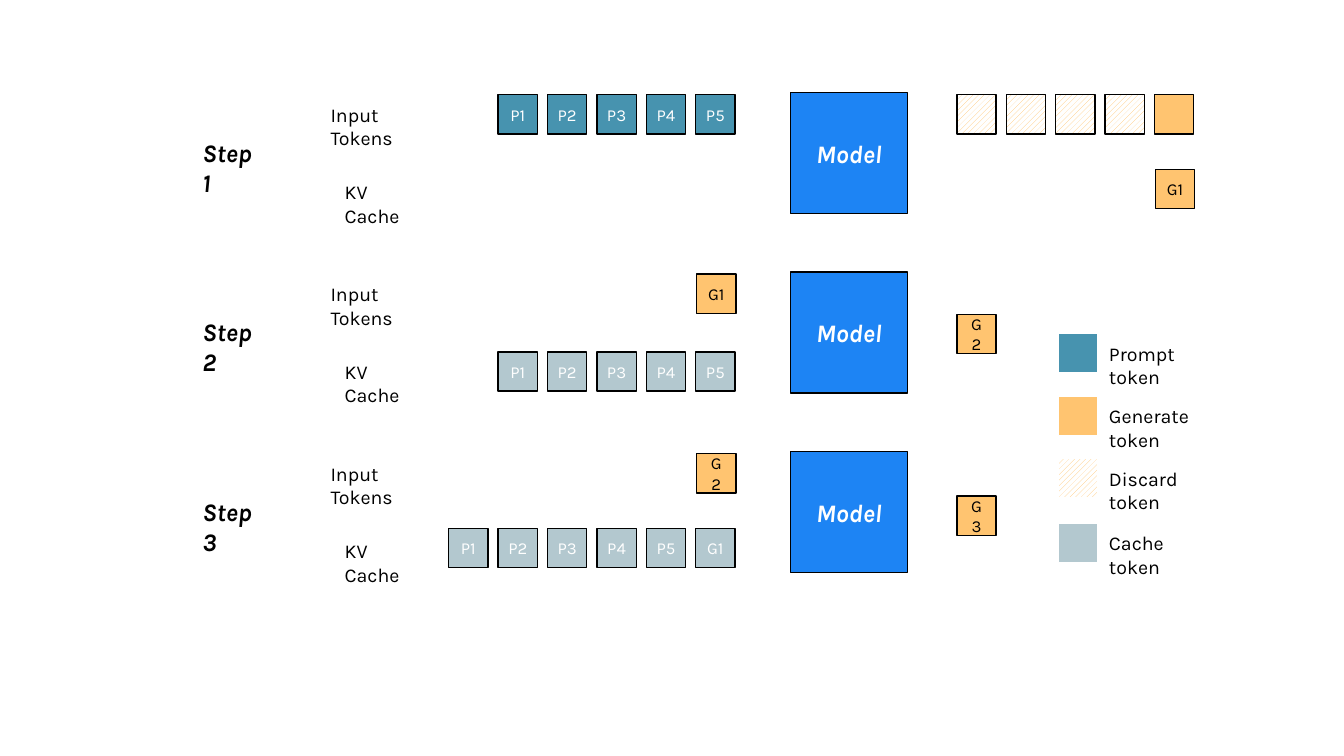
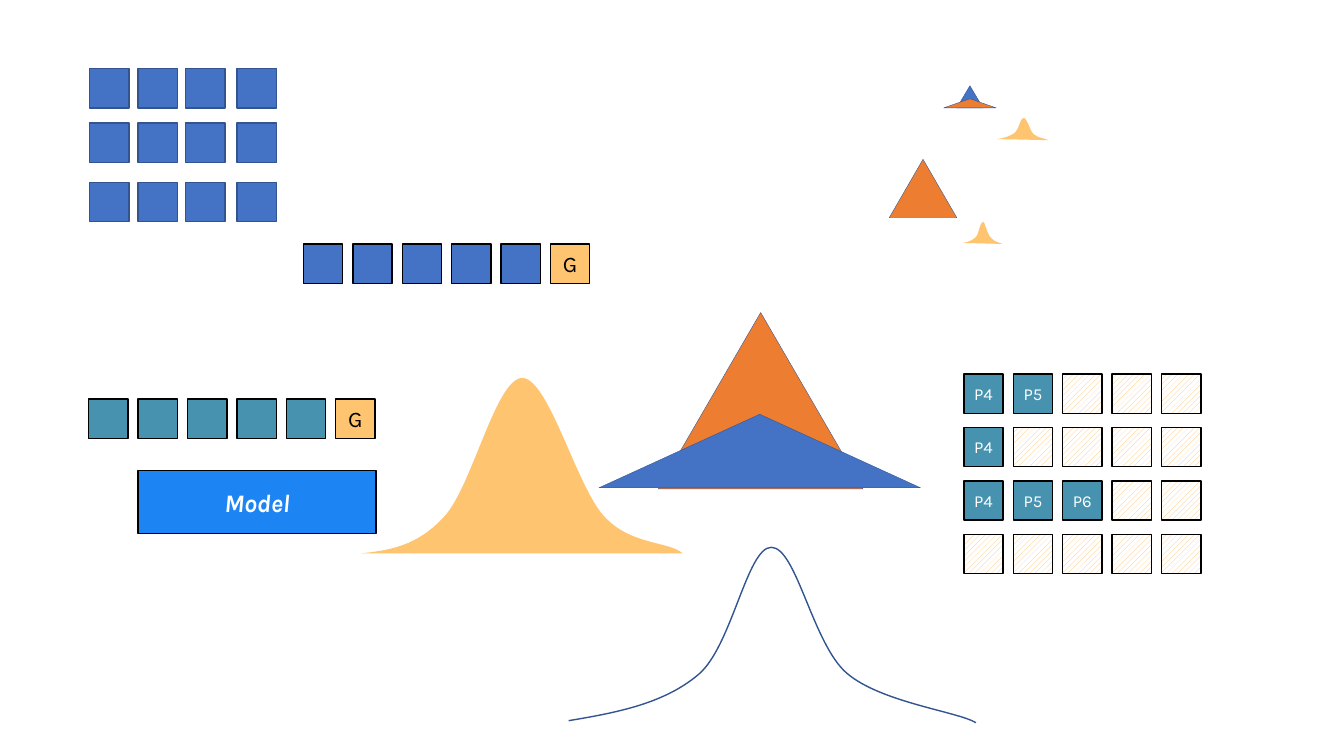
from dataclasses import dataclass

from lxml import etree
from pptx import Presentation
from pptx.dml.color import RGBColor
from pptx.enum.dml import MSO_PATTERN
from pptx.enum.shapes import MSO_SHAPE
from pptx.enum.text import MSO_ANCHOR, MSO_AUTO_SIZE, PP_ALIGN
from pptx.oxml.ns import qn
from pptx.util import Inches, Pt

RECTANGLE = MSO_SHAPE.RECTANGLE
TRIANGLE = MSO_SHAPE.ISOSCELES_TRIANGLE
HATCH = MSO_PATTERN.WIDE_UPWARD_DIAGONAL
MIDDLE = MSO_ANCHOR.MIDDLE
CENTER = PP_ALIGN.CENTER
GROW = MSO_AUTO_SIZE.SHAPE_TO_FIT_TEXT

FONT = "Karla"
COLORS = {
    "black": "000000",
    "white": "FFFFFF",
    "model": "1D84F4",
    "prompt": "4793AF",
    "generate": "FFC470",
    "cache": "B3C8CF",
    "blue": "4472C4",
    "orange": "ED7D31",
    "outline": "325491",
}
TOKEN_SIZE = 0.39
TOKEN_PITCH = 0.49
STEP_PITCH = 1.78

Point = tuple[float, float]
Curve = tuple[Point, Point, Point]


@dataclass(frozen=True)
class Token:
    kind: str
    text: str = ""


@dataclass(frozen=True)
class TokenRow:
    left: float
    top: float
    tokens: list[Token]
    size: int = 12


@dataclass(frozen=True)
class Triangle:
    left: float
    top: float
    width: float
    height: float
    color: str


@dataclass(frozen=True)
class Bell:
    start: Point
    curves: list[Curve]
    filled: bool = True


def color(name: str) -> RGBColor:
    return RGBColor.from_string(COLORS[name])


def tokens(kind: str, names: str) -> list[Token]:
    return [Token(kind, name) for name in names.split()]


def write(para, text: str, size: int, tint: str, strong: bool = False) -> None:
    span = para.add_run()
    span.text = text
    span.font.name = FONT
    span.font.size = Pt(size)
    span.font.color.rgb = color(tint)
    if strong:
        span.font.bold = True
        span.font.italic = True


def paint(shape, fill: str | None, line: str | None, width: float = 1) -> None:
    shape.shadow.inherit = False
    if fill is None:
        shape.fill.background()
    elif fill == "discard":
        shape.fill.patterned()
        shape.fill.pattern = HATCH
        shape.fill.fore_color.rgb = color("generate")
        shape.fill.back_color.rgb = color("white")
    else:
        shape.fill.solid()
        shape.fill.fore_color.rgb = color(fill)
    if line is None:
        shape.line.fill.background()
    else:
        shape.line.color.rgb = color(line)
        shape.line.width = Pt(width)


def add_block(page, left: float, top: float, width: float, height: float,
              fill: str, line: str = "black"):
    box = page.shapes.add_shape(
        RECTANGLE, Inches(left), Inches(top), Inches(width), Inches(height))
    paint(box, fill, line)
    box.text_frame.vertical_anchor = MIDDLE
    box.text_frame.paragraphs[0].alignment = CENTER
    return box


def add_token(page, left: float, top: float, token: Token,
              size: int = 12, line: str = "black") -> None:
    box = add_block(page, left, top, TOKEN_SIZE, TOKEN_SIZE, token.kind, line)
    if token.text:
        tint = "black" if token.kind == "generate" else "white"
        write(box.text_frame.paragraphs[0], token.text, size, tint)


def add_token_row(page, row: TokenRow) -> None:
    for column, token in enumerate(row.tokens):
        add_token(page, row.left + column * TOKEN_PITCH, row.top, token, row.size)


def add_model(page, left: float, top: float, width: float, height: float) -> None:
    box = add_block(page, left, top, width, height, "model")
    write(box.text_frame.paragraphs[0], "Model", 18, "white", strong=True)


def add_label(page, left: float, top: float, width: float, height: float,
              text: str, size: int = 14, strong: bool = False) -> None:
    box = page.shapes.add_textbox(
        Inches(left), Inches(top), Inches(width), Inches(height))
    box.text_frame.word_wrap = True
    box.text_frame.auto_size = GROW
    write(box.text_frame.paragraphs[0], text, size, "black", strong)


def add_triangle(page, triangle: Triangle) -> None:
    shape = page.shapes.add_shape(
        TRIANGLE, Inches(triangle.left), Inches(triangle.top),
        Inches(triangle.width), Inches(triangle.height))
    paint(shape, triangle.color, "outline", 0.25)


def add_bell(page, bell: Bell) -> None:
    start_x, start_y = bell.start
    builder = page.shapes.build_freeform(Inches(start_x), Inches(start_y))
    ends = [(Inches(x), Inches(y)) for _, _, (x, y) in bell.curves]
    builder.add_line_segments(ends, close=False)
    shape = builder.convert_to_shape()
    segments = list(shape.element.iter(qn("a:lnTo")))
    for segment, curve in zip(segments, bell.curves):
        bezier = etree.Element(qn("a:cubicBezTo"))
        for x, y in curve:
            point = etree.SubElement(bezier, qn("a:pt"))
            point.set("x", str(Inches(x) - shape.left))
            point.set("y", str(Inches(y) - shape.top))
        segment.getparent().replace(segment, bezier)
    if bell.filled:
        paint(shape, "generate", None)
    else:
        paint(shape, None, "outline")


PROMPTS = "P1 P2 P3 P4 P5"
STEP_ROWS = [
    TokenRow(4.94, 0.94, tokens("prompt", PROMPTS)),
    TokenRow(9.49, 0.94, [Token("discard")] * 4 + [Token("generate")]),
    TokenRow(11.46, 1.68, tokens("generate", "G1")),
    TokenRow(6.91, 2.72, tokens("generate", "G1")),
    TokenRow(4.94, 3.49, tokens("cache", PROMPTS)),
    TokenRow(9.49, 3.12, tokens("generate", "G2")),
    TokenRow(6.91, 4.5, tokens("generate", "G2")),
    TokenRow(4.45, 5.24, tokens("cache", PROMPTS + " G1")),
    TokenRow(9.49, 4.92, tokens("generate", "G3")),
]
LEGEND = [
    (3.31, "prompt", "Prompt token"),
    (3.93, "generate", "Generate token"),
    (4.55, "discard", "Discard token"),
    (5.19, "cache", "Cache token"),
]

SHAPE_ROWS = [
    TokenRow(3.01, 2.42, [Token("blue")] * 5 + [Token("generate", "G")], 16),
    TokenRow(0.88, 3.96, [Token("prompt")] * 5 + [Token("generate", "G")], 16),
]
BATCH_COLUMNS = 5
BATCH = ["P4 P5", "P4", "P4 P5 P6", ""]
GRID_LEFTS = [0.89, 1.37, 1.84, 2.35]
GRID_TOPS = [0.68, 1.22, 1.81]

TRIANGLES = [
    Triangle(9.49, 0.85, 0.26, 0.22, "blue"),
    Triangle(9.36, 0.98, 0.52, 0.09, "orange"),
    Triangle(8.82, 1.58, 0.67, 0.58, "orange"),
    Triangle(6.53, 3.1, 2.03, 1.75, "orange"),
    Triangle(5.94, 4.11, 3.19, 0.73, "blue"),
]
BELLS = [
    Bell((9.89, 1.38), [
        ((9.96, 1.37), (10.02, 1.35), (10.06, 1.32)),
        ((10.11, 1.28), (10.12, 1.17), (10.15, 1.17)),
        ((10.19, 1.17), (10.21, 1.29), (10.25, 1.33)),
        ((10.3, 1.37), (10.35, 1.37), (10.4, 1.39)),
    ]),
    Bell((5.64, 7.15), [
        ((6.12, 7.07), (6.59, 6.98), (6.93, 6.69)),
        ((7.26, 6.41), (7.41, 5.43), (7.65, 5.43)),
        ((7.9, 5.43), (8.06, 6.39), (8.4, 6.68)),
        ((8.74, 6.97), (9.5, 7.06), (9.68, 7.17)),
    ], filled=False),
    Bell((3.58, 5.49), [
        ((3.86, 5.46), (4.14, 5.42), (4.41, 5.12)),
        ((4.68, 4.83), (4.92, 3.75), (5.18, 3.75)),
        ((5.44, 3.75), (5.72, 4.83), (5.99, 5.12)),
        ((6.25, 5.41), (6.64, 5.37), (6.77, 5.49)),
    ]),
    Bell((9.55, 2.41), [
        ((9.6, 2.4), (9.64, 2.39), (9.68, 2.35)),
        ((9.71, 2.32), (9.72, 2.2), (9.75, 2.2)),
        ((9.77, 2.2), (9.79, 2.33), (9.83, 2.36)),
        ((9.86, 2.4), (9.9, 2.4), (9.94, 2.42)),
    ]),
]


def build_steps(page) -> None:
    for step in range(3):
        shift = step * STEP_PITCH
        add_label(page, 1.91, 1.31 + shift, 0.75, 0.4, f"Step{step + 1}", 18, True)
        add_label(page, 3.18, 0.97 + shift, 1.26, 0.34, "Input Tokens")
        add_label(page, 3.32, 1.74 + shift, 0.97, 0.34, "KV Cache")
        add_model(page, 7.84, 0.92 + shift, 1.16, 1.2)
    for row in STEP_ROWS:
        add_token_row(page, row)
    for top, kind, text in LEGEND:
        add_token(page, 10.5, top, Token(kind), line="white")
        add_label(page, 10.9, top + 0.03, 1.19, 0.34, text)


def build_shapes(page) -> None:
    for row in SHAPE_ROWS:
        add_token_row(page, row)
    add_model(page, 1.37, 4.67, 2.36, 0.62)
    for triangle in TRIANGLES:
        add_triangle(page, triangle)
    for bell in BELLS:
        add_bell(page, bell)
    for index, names in enumerate(BATCH):
        prompts = tokens("prompt", names)
        padding = [Token("discard")] * (BATCH_COLUMNS - len(prompts))
        add_token_row(page, TokenRow(9.56, 3.71 + index * 0.53, prompts + padding))
    for top in GRID_TOPS:
        for left in GRID_LEFTS:
            add_token(page, left, top, Token("blue"), line="outline")


def main() -> None:
    deck = Presentation()
    deck.slide_width = Inches(13.33)
    deck.slide_height = Inches(7.5)
    blank = deck.slide_layouts.get_by_name("Blank")
    for build in (build_steps, build_shapes):
        build(deck.slides.add_slide(blank))
    deck.save("out.pptx")


if __name__ == "__main__":
    main()
